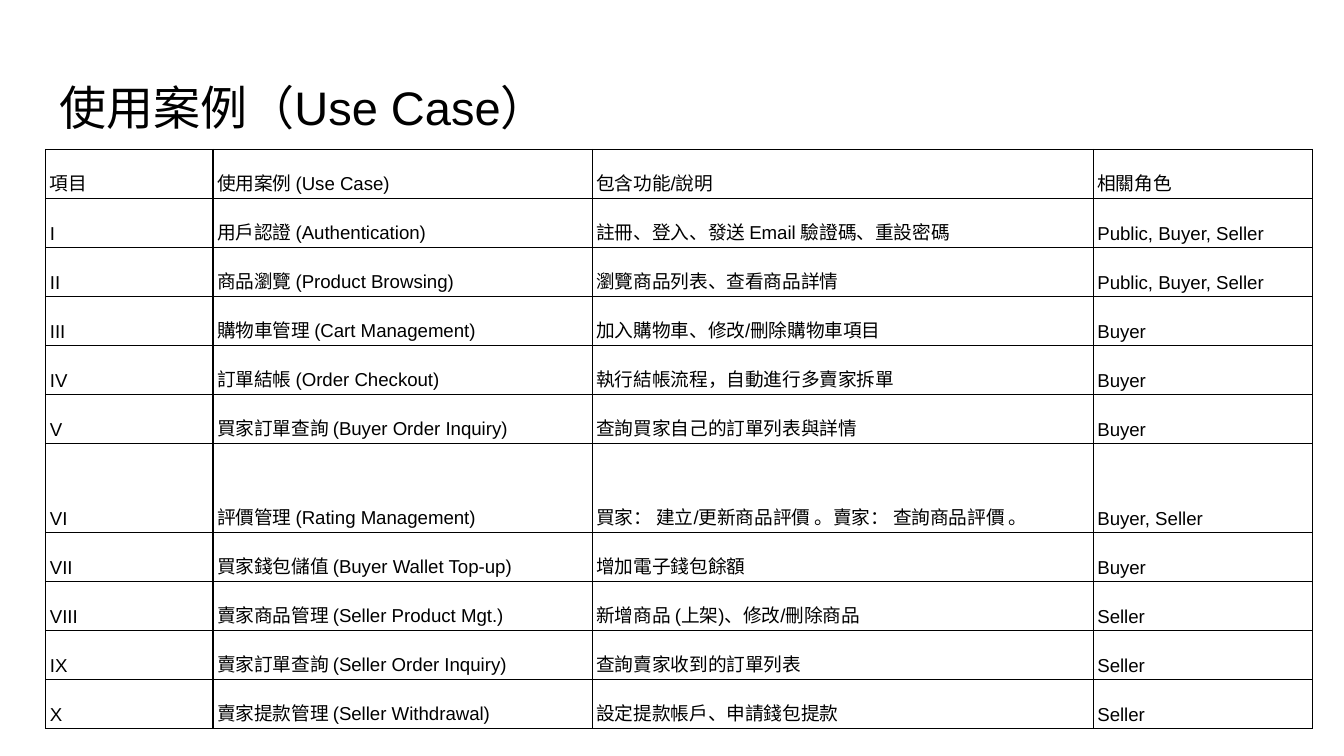
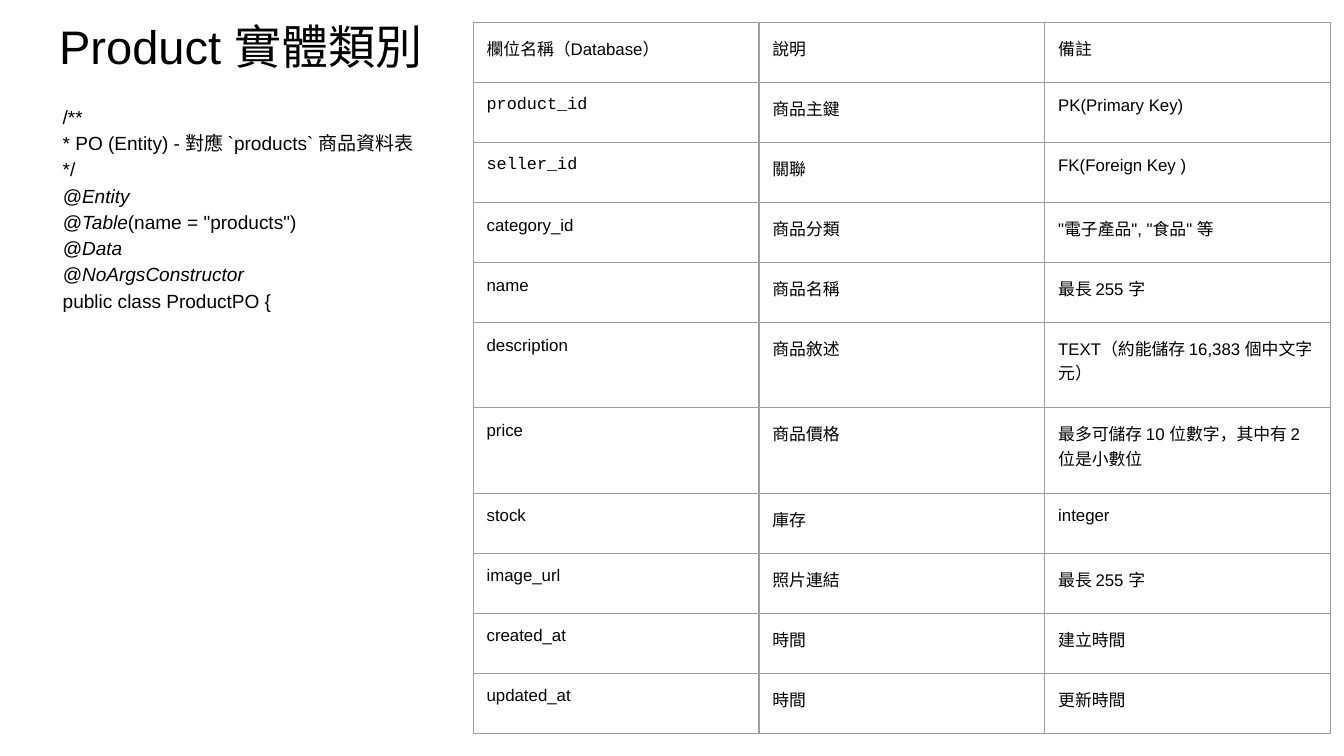
from dataclasses import dataclass, field

from lxml.etree import SubElement
from pptx import Presentation
from pptx.dml.color import RGBColor
from pptx.enum.text import MSO_ANCHOR as Anchor
from pptx.enum.text import MSO_AUTO_SIZE as AutoSize
from pptx.enum.text import PP_ALIGN as Align
from pptx.oxml.ns import qn
from pptx.slide import Slide
from pptx.table import _Cell as Cell
from pptx.text.text import TextFrame
from pptx.util import Pt

COLORS = {"text": "000000", "grid": "000000", "soft_grid": "9E9E9E"}
FONT = "Arial"
CODE_FONT = "Courier New"
MARGIN_LEFT = 24.5
TITLE_HEIGHT = 45.1
TITLE_SIZE = 25.2
INSET = 7.2
BORDER_WIDTH = 0.75
TITLE_ONLY = 5


@dataclass(frozen=True)
class Title:
    text: str
    top: float
    width: float


@dataclass(frozen=True)
class CellFormat:
    size: float
    border: str
    anchor: Anchor
    line_spacing: float
    inset_x: float
    inset_y: float


@dataclass(frozen=True)
class Grid:
    left: float
    top: float
    columns: list[float]
    row_height: float
    cell_format: CellFormat
    rows: list[tuple[str, ...]]
    tall_rows: dict[int, float] = field(default_factory=dict)
    code_cells: tuple[str, ...] = ()


@dataclass(frozen=True)
class CodeLine:
    annotation: str = ""
    plain: str = ""


USE_CASE_FORMAT = CellFormat(10, "grid", Anchor.BOTTOM, 1.15, 2.25, 1.5)
FIELD_FORMAT = CellFormat(9, "soft_grid", Anchor.TOP, 1.0, INSET, INSET)

USE_CASE_TITLE = Title("使用案例（Use Case）", 35, 671)
USE_CASES = Grid(
    left=24.5,
    top=80.1,
    columns=[89.6, 203.2, 268.4, 117.4],
    row_height=26.25,
    cell_format=USE_CASE_FORMAT,
    tall_rows={6: 47.7},
    rows=[
        ("項目", "使用案例 (Use Case)", "包含功能/說明", "相關角色"),
        ("I", "用戶認證 (Authentication)", "註冊、登入、發送 Email 驗證碼、重設密碼", "Public, Buyer, Seller"),
        ("II", "商品瀏覽 (Product Browsing)", "瀏覽商品列表、查看商品詳情", "Public, Buyer, Seller"),
        ("III", "購物車管理 (Cart Management)", "加入購物車、修改/刪除購物車項目", "Buyer"),
        ("IV", "訂單結帳 (Order Checkout)", "執行結帳流程，自動進行多賣家拆單", "Buyer"),
        ("V", "買家訂單查詢 (Buyer Order Inquiry)", "查詢買家自己的訂單列表與詳情", "Buyer"),
        ("VI", "評價管理 (Rating Management)", "買家： 建立/更新商品評價 。賣家： 查詢商品評價 。", "Buyer, Seller"),
        ("VII", "買家錢包儲值 (Buyer Wallet Top-up)", "增加電子錢包餘額", "Buyer"),
        ("VIII", "賣家商品管理 (Seller Product Mgt.)", "新增商品 (上架)、修改/刪除商品", "Seller"),
        ("IX", "賣家訂單查詢 (Seller Order Inquiry)", "查詢賣家收到的訂單列表", "Seller"),
        ("X", "賣家提款管理 (Seller Withdrawal)", "設定提款帳戶、申請錢包提款", "Seller"),
    ],
)

PRODUCT_TITLE = Title("Product 實體類別", 2.2, 217.4)
PRODUCT_CODE = [
    CodeLine(plain="/**"),
    CodeLine(plain="* PO (Entity) - 對應 `products` 商品資料表"),
    CodeLine(plain="*/"),
    CodeLine("@Entity"),
    CodeLine("@Table", '(name = "products")'),
    CodeLine("@Data"),
    CodeLine("@NoArgsConstructor"),
    CodeLine(plain="public class ProductPO {"),
]
PRODUCT_FIELDS = Grid(
    left=253.5,
    top=12,
    columns=[153.1] * 3,
    row_height=32.15,
    cell_format=FIELD_FORMAT,
    tall_rows={5: 45.8, 6: 45.8},
    code_cells=("product_id", "seller_id"),
    rows=[
        ("欄位名稱（Database）", "說明", "備註"),
        ("product_id", "商品主鍵", "PK(Primary Key)"),
        ("seller_id", "關聯", "FK(Foreign Key )"),
        ("category_id", "商品分類", '"電子產品", "食品" 等'),
        ("name", "商品名稱", "最長 255 字"),
        ("description", "商品敘述", "TEXT（約能儲存 16,383 個中文字元）"),
        ("price", "商品價格", "最多可儲存 10 位數字，其中有 2 位是小數位"),
        ("stock", "庫存", "integer"),
        ("image_url", "照片連結", "最長 255 字"),
        ("created_at", "時間", "建立時間"),
        ("updated_at", "時間", "更新時間"),
    ],
)


def apply(target: object, values: dict[str, object]) -> None:
    for name, value in values.items():
        setattr(target, name, value)


def format_font(font, size: float, name: str = FONT, italic: bool = False) -> None:
    apply(font, {"size": Pt(size), "name": name, "bold": False, "italic": italic})
    font.color.rgb = RGBColor.from_string(COLORS["text"])


def format_frame(frame: TextFrame) -> None:
    sides = ("left", "top", "right", "bottom")
    apply(frame, {f"margin_{side}": Pt(INSET) for side in sides})
    apply(frame, {
        "word_wrap": True,
        "auto_size": AutoSize.NONE,
        "vertical_anchor": Anchor.TOP,
    })


def place_title(slide: Slide, title: Title) -> None:
    shape = slide.shapes.title
    apply(shape, {
        "left": Pt(MARGIN_LEFT),
        "top": Pt(title.top),
        "width": Pt(title.width),
        "height": Pt(TITLE_HEIGHT),
    })
    format_frame(shape.text_frame)
    paragraph = shape.text_frame.paragraphs[0]
    paragraph.alignment = Align.LEFT
    run = paragraph.add_run()
    run.text = title.text
    format_font(run.font, TITLE_SIZE)


def draw_borders(cell: Cell, color: str) -> None:
    properties = cell._tc.get_or_add_tcPr()
    for position, side in enumerate(("lnL", "lnR", "lnT", "lnB")):
        line = SubElement(properties, qn(f"a:{side}"), w=str(Pt(BORDER_WIDTH)))
        properties.insert(position, line)
        fill = SubElement(line, qn("a:solidFill"))
        SubElement(fill, qn("a:srgbClr"), val=COLORS[color])


def fill_cell(cell: Cell, text: str, style: CellFormat, font_name: str) -> None:
    cell.fill.background()
    draw_borders(cell, style.border)
    apply(cell, {
        "margin_left": Pt(style.inset_x),
        "margin_right": Pt(style.inset_x),
        "margin_top": Pt(style.inset_y),
        "margin_bottom": Pt(style.inset_y),
        "vertical_anchor": style.anchor,
    })
    paragraph = cell.text_frame.paragraphs[0]
    paragraph.line_spacing = style.line_spacing
    run = paragraph.add_run()
    run.text = text
    format_font(run.font, style.size, font_name)


def draw_grid(slide: Slide, grid: Grid) -> None:
    heights = [grid.tall_rows.get(index, grid.row_height) for index in range(len(grid.rows))]
    table = slide.shapes.add_table(
        len(grid.rows), len(grid.columns),
        Pt(grid.left), Pt(grid.top), Pt(sum(grid.columns)), Pt(sum(heights)),
    ).table
    apply(table, {"first_row": False, "horz_banding": False})
    for column, width in zip(table.columns, grid.columns):
        column.width = Pt(width)
    for row, height, texts in zip(table.rows, heights, grid.rows):
        row.height = Pt(height)
        for cell, text in zip(row.cells, texts):
            font_name = CODE_FONT if text in grid.code_cells else FONT
            fill_cell(cell, text, grid.cell_format, font_name)


def draw_code(slide: Slide, lines: list[CodeLine]) -> None:
    box = slide.shapes.add_textbox(Pt(MARGIN_LEFT), Pt(47.5), Pt(229), Pt(122.4))
    frame = box.text_frame
    format_frame(frame)
    for index, line in enumerate(lines):
        paragraph = frame.add_paragraph() if index else frame.paragraphs[0]
        paragraph.line_spacing = 1.15
        paragraph._p.get_or_add_pPr().set("marL", str(Pt(2)))
        for text, italic in ((line.annotation, True), (line.plain, False)):
            if text:
                run = paragraph.add_run()
                run.text = text
                format_font(run.font, 10.2, italic=italic)


def add_titled_slide(presentation, title: Title) -> Slide:
    slide = presentation.slides.add_slide(presentation.slide_layouts[TITLE_ONLY])
    place_title(slide, title)
    return slide


def main() -> None:
    presentation = Presentation()
    apply(presentation, {"slide_width": Pt(720), "slide_height": Pt(405)})
    draw_grid(add_titled_slide(presentation, USE_CASE_TITLE), USE_CASES)
    product_slide = add_titled_slide(presentation, PRODUCT_TITLE)
    draw_code(product_slide, PRODUCT_CODE)
    draw_grid(product_slide, PRODUCT_FIELDS)
    presentation.save("out.pptx")


if __name__ == "__main__":
    main()
